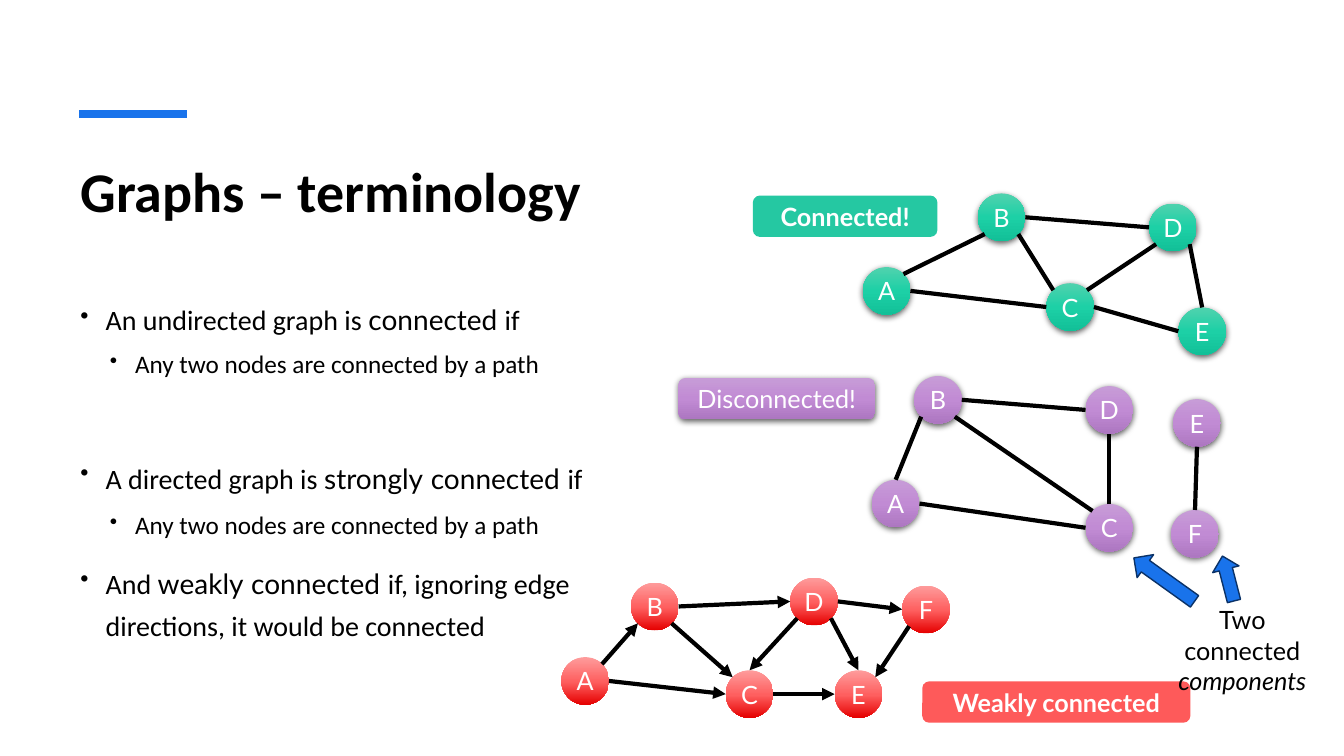
import copy
import math

import pptx
import pptx.dml.color
import pptx.enum.shapes
import pptx.enum.text
import pptx.oxml.ns
import pptx.util
from lxml import etree

Pt = pptx.util.Pt
qn = pptx.oxml.ns.qn
SHAPE = pptx.enum.shapes.MSO_SHAPE
ALIGN = pptx.enum.text.PP_ALIGN
ANCHOR = pptx.enum.text.MSO_ANCHOR

COLORS = {
    "black": "000000", "white": "FFFFFF", "blue": "1973EB", "navy": "0B3267",
    "teal": "25C8A2", "red": "FE5A5A",
}
# Gradient stops from top to bottom
GRADIENTS = {
    "teal": [(0, "50D2AE"), (0.5, "1DD0A6"), (1, "12C098")],
    "red": [(0, "FE9C9C"), (0.52, "FE5F5F"), (1, "E50101")],
    "purple": [(0, "C79CD7"), (0.5, "C18BD4"), (1, "AD77C1")],
}
# Directions from the centre of a node, in degrees clockwise from east
SIDES = {"e": 0, "se": 45, "s": 90, "sw": 135, "w": 180, "nw": 225, "n": 270, "ne": 315}
NODE_SIZE = 34


def rgb(value):
    return pptx.dml.color.RGBColor.from_string(value)


def write(para, text, size=18, font="Lato", color="black", bold=False, italic=False):
    span = para.add_run()
    span.text = text
    span.font.size = Pt(size)
    span.font.name = font
    span.font.bold = bold
    span.font.italic = italic
    span.font.color.rgb = rgb(COLORS[color])


class Sketch:
    def __init__(self, page):
        self.page = page

    def text_box(self, left, top, width, height):
        box = self.page.shapes.add_textbox(Pt(left), Pt(top), Pt(width), Pt(height))
        box.text_frame.word_wrap = True
        return box.text_frame

    def bullet(self, para, level, space, spans):
        para.level = level
        para.line_spacing = 1.2
        para.space_before = Pt(space)
        props = para._p.get_or_add_pPr()
        props.set("marL", str(Pt(39 if level else 18)))
        props.set("indent", str(Pt(-18)))
        etree.SubElement(props, qn("a:buSzPct")).set("val", "87000")
        etree.SubElement(props, qn("a:buChar")).set("char", "•")
        for text, style in spans:
            write(para, text, **style)

    def shape(self, kind, left, top, width, height, fill=None, gradient=None,
              outline=None, shadow=False, angle=0):
        shape = self.page.shapes.add_shape(kind, Pt(left), Pt(top), Pt(width), Pt(height))
        shape.rotation = angle
        if gradient:
            self.gradient(shape, GRADIENTS[gradient])
        else:
            shape.fill.solid()
            shape.fill.fore_color.rgb = rgb(COLORS[fill])
        if outline:
            shape.line.color.rgb = rgb(COLORS[outline])
            shape.line.width = Pt(1)
        else:
            shape.line.fill.background()
        shape.shadow.inherit = False
        if shadow:
            self.drop_shadow(shape)
        return shape

    def gradient(self, shape, stops):
        shape.fill.gradient()
        shape.fill.gradient_angle = 270
        stop_list = shape._element.spPr.find(".//" + qn("a:gsLst"))
        stop_list.append(copy.deepcopy(stop_list[-1]))
        for stop, (position, color) in zip(shape.fill.gradient_stops, stops):
            stop.position = position
            stop.color.rgb = rgb(color)

    def drop_shadow(self, shape):
        effects = shape._element.spPr.find(qn("a:effectLst"))
        outer = etree.SubElement(effects, qn("a:outerShdw"), blurRad=str(Pt(4.5)),
                                 dist=str(Pt(1.5)), dir="5400000", rotWithShape="0")
        color = etree.SubElement(outer, qn("a:srgbClr"), val=COLORS["black"])
        etree.SubElement(color, qn("a:alpha"), val="63000")

    def label(self, shape, text, bold=False):
        frame = shape.text_frame
        frame.word_wrap = False
        frame.vertical_anchor = ANCHOR.MIDDLE
        frame.margin_left = frame.margin_right = 0
        frame.margin_top = frame.margin_bottom = 0
        frame.paragraphs[0].alignment = ALIGN.CENTER
        write(frame.paragraphs[0], text, color="white", bold=bold)

    def tag(self, text, left, top, width, bold=True, **style):
        box = self.shape(SHAPE.ROUNDED_RECTANGLE, left, top, width, 29.5, **style)
        self.label(box, text, bold)

    def line(self, start, end, color="black", width=3, arrow=False):
        line = self.page.shapes.add_connector(
            pptx.enum.shapes.MSO_CONNECTOR.STRAIGHT, *map(Pt, start + end))
        line.line.color.rgb = rgb(COLORS[color])
        line.line.width = Pt(width)
        props = line._element.spPr
        if arrow:
            etree.SubElement(props.find(qn("a:ln")), qn("a:tailEnd"), type="triangle")
        etree.SubElement(props, qn("a:effectLst"))

    def graph(self, nodes, edges, gradient, shadow=True, arrow=False):
        def port(name, side):
            turn = math.radians(SIDES[side])
            left, top = nodes[name]
            radius = NODE_SIZE / 2
            return (left + radius * (1 + math.cos(turn)), top + radius * (1 + math.sin(turn)))

        for name, (left, top) in nodes.items():
            node = self.shape(SHAPE.OVAL, left, top, NODE_SIZE, NODE_SIZE,
                              gradient=gradient, shadow=shadow)
            self.label(node, name)
        for edge in edges:
            first, first_side, second, second_side = edge.split()
            self.line(port(first, first_side), port(second, second_side), arrow=arrow)


def main():
    deck = pptx.Presentation()
    deck.slide_width, deck.slide_height = Pt(960), Pt(540)
    sketch = Sketch(deck.slides.add_slide(deck.slide_layouts[6]))

    # Title with accent bar
    sketch.line((56.5, 81.4), (133.5, 81.4), color="blue", width=6)
    title = sketch.text_box(50.4, 108, 857.5, 86.4)
    write(title.paragraphs[0], "Graphs – terminology", size=40, font="Calibri", bold=True)

    # Definitions: level, space before, spans
    plain = {"size": 20, "font": "Calibri"}
    term = {"size": 20}
    gap = {"size": 24, "font": "Calibri"}
    path_rule = (1, 5, [("Any two nodes are connected by a path", {"font": "Calibri"})])
    definitions = [
        (0, 10, [("An undirected graph is ", plain), ("connected ", term), ("if", plain)]),
        path_rule,
        (0, 49, [("A directed graph is ", plain), ("strongly", term), (" ", gap),
                 ("connected", term), (" ", gap), ("if", plain)]),
        path_rule,
        (0, 10, [("And ", plain), ("weakly", term), (" ", gap), ("connected", term), (" ", gap),
                 ("if, ignoring edge directions, it would be connected", plain)]),
    ]
    body = sketch.text_box(50.4, 207.4, 415.4, 280.8)
    for index, definition in enumerate(definitions):
        para = body.add_paragraph() if index else body.paragraphs[0]
        sketch.bullet(para, *definition)

    # Connected graph
    sketch.graph(
        {"A": (616.3, 190.8), "B": (698.4, 138.2), "C": (747.4, 202.3),
         "D": (820.8, 145.4), "E": (841.7, 219.6)},
        ["A e C w", "A ne B sw", "B e D w", "B se C nw", "C ne D sw", "C e E w", "E n D se"],
        "teal")

    # Weakly connected graph
    sketch.graph(
        {"A": (401, 469.4), "B": (450.7, 416.2), "C": (518.4, 478.8),
         "D": (564.5, 412.6), "E": (596.2, 478.8), "F": (644.4, 418.3)},
        ["A e C w", "A ne B sw", "B e D w", "B se C nw", "D sw C n", "D e F w",
         "F sw E ne", "D se E n", "C e E w"],
        "red", shadow=False, arrow=True)

    # Tags
    sketch.tag("Connected!", 537.8, 139.7, 131.8, fill="teal")
    sketch.tag("Weakly connected", 658.8, 486.7, 191.5, fill="red")
    sketch.tag("Disconnected!", 484.6, 270, 140.4, bold=False, gradient="purple", shadow=True)

    # Disconnected graph
    sketch.graph(
        {"A": (622.8, 342.7), "B": (653, 268.6), "C": (775.4, 360),
         "D": (775.4, 275.8), "E": (838, 285.1), "F": (836.6, 364.3)},
        ["A e C w", "A n B sw", "B e D w", "B se C nw", "C n D s", "F n E s"],
        "purple")

    # Note on the two components
    note = sketch.text_box(820.8, 428.4, 133.2, 51.1).paragraphs[0]
    note.alignment = ALIGN.CENTER
    write(note, "Two connected")
    note.add_line_break()
    write(note, "components", italic=True)
    for left, top, width, height, angle in [(821.5, 387.4, 20.2, 53.3, 305.6),
                                            (867.6, 396.7, 19.4, 33.1, 345.6)]:
        sketch.shape(SHAPE.UP_ARROW, left, top, width, height,
                     fill="blue", outline="navy", angle=angle)

    deck.save("out.pptx")


if __name__ == "__main__":
    main()
